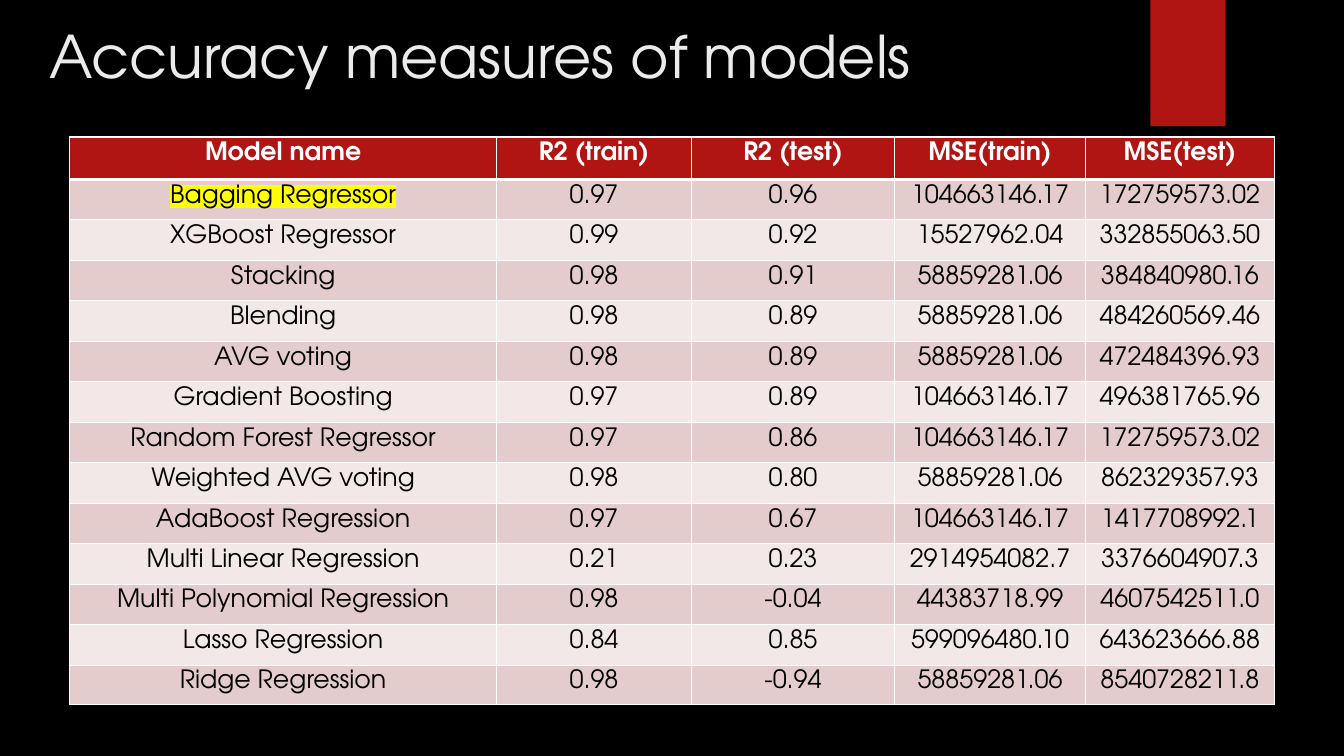
import pptx
import pptx.util
import pptx.dml.color
import pptx.enum.shapes
import pptx.enum.text
import pptx.oxml
import pptx.oxml.ns

Cm, Pt = pptx.util.Cm, pptx.util.Pt
FONT = "TeX Gyre Adventor"
RED, WHITE, BLACK = "B01513", "FFFFFF", "000000"
BANDS = ["F2E8E7", "E4CCCC"]


def paint(color, code):
    """Set a solid fill or a font colour from a hex string."""
    if hasattr(color, "solid"):
        color.solid()
        color = color.fore_color
    else:
        color = color.color
    color.rgb = pptx.dml.color.RGBColor.from_string(code)


def node(tag, inner, attrs=""):
    """Make a drawing element holding one solid colour."""
    space = pptx.oxml.ns.nsdecls("a")
    return pptx.oxml.parse_xml(f"<a:{tag} {space} {attrs}>{inner}</a:{tag}>")


deck = pptx.Presentation()
deck.slide_width, deck.slide_height = Cm(33.87), Cm(19.05)
slide = deck.slides.add_slide(deck.slide_layouts[6])
paint(slide.background.fill, BLACK)

# Red tab at the top
tab = slide.shapes.add_shape(pptx.enum.shapes.MSO_SHAPE.RECTANGLE,
                             Cm(28.99), 0, Cm(1.9), Cm(3.18))
tab.shadow.inherit = False
paint(tab.fill, RED)
tab.line.fill.background()

# Title
title = slide.shapes.add_textbox(Cm(0.99), Cm(0.38), Cm(22.66), Cm(2.21))
frame = title.text_frame
frame.word_wrap = True
frame.vertical_anchor = pptx.enum.text.MSO_ANCHOR.TOP
frame.text = "Accuracy measures of models"
font = frame.paragraphs[0].runs[0].font
font.name, font.size = FONT, Pt(42)
paint(font, "EBEBEB")

# Table of scores
scores = [
    ("Model name", "R2 (train)", "R2 (test)", "MSE(train)", "MSE(test)"),
    ("Bagging Regressor", "0.97", "0.96", "104663146.17", "172759573.02"),
    ("XGBoost Regressor", "0.99", "0.92", "15527962.04", "332855063.50"),
    ("Stacking", "0.98", "0.91", "58859281.06", "384840980.16"),
    ("Blending", "0.98", "0.89", "58859281.06", "484260569.46"),
    ("AVG voting", "0.98", "0.89", "58859281.06", "472484396.93"),
    ("Gradient Boosting", "0.97", "0.89", "104663146.17", "496381765.96"),
    ("Random Forest Regressor", "0.97", "0.86", "104663146.17", "172759573.02"),
    ("Weighted AVG voting", "0.98", "0.80", "58859281.06", "862329357.93"),
    ("AdaBoost Regression", "0.97", "0.67", "104663146.17", "1417708992.1"),
    ("Multi Linear Regression", "0.21", "0.23", "2914954082.7", "3376604907.3"),
    ("Multi Polynomial Regression", "0.98", "-0.04", "44383718.99", "4607542511.0"),
    ("Lasso Regression", "0.84", "0.85", "599096480.10", "643623666.88"),
    ("Ridge Regression", "0.98", "-0.94", "58859281.06", "8540728211.8"),
]
widths = [10.77, 4.9, 5.13, 4.8, 4.77]
heights = [1.07] + [1.02] * 12 + [0.99]
table = slide.shapes.add_table(len(scores), len(widths), Cm(1.75), Cm(3.45),
                               Cm(sum(widths)), Cm(sum(heights))).table
for column, width in zip(table.columns, widths):
    column.width = Cm(width)

for i, row in enumerate(scores):
    table.rows[i].height = Cm(heights[i])
    for j, text in enumerate(row):
        cell = table.cell(i, j)
        cell.margin_top, cell.margin_bottom = Cm(0.13), 0
        cell.margin_left = cell.margin_right = Cm(0.19)
        paint(cell.fill, BANDS[i % 2] if i else RED)
        para = cell.text_frame.paragraphs[0]
        para.text = text
        para.alignment = pptx.enum.text.PP_ALIGN.CENTER
        font = para.runs[0].font
        font.name, font.size, font.bold = FONT, Pt(18), i == 0
        paint(font, BLACK if i else WHITE)

        # White borders, thick below the header
        for k, side in enumerate("LRTB"):
            thick = (i, side) in [(0, "B"), (1, "T")]
            fill = f'<a:solidFill><a:srgbClr val="{WHITE}"/></a:solidFill>'
            edge = node("ln" + side, fill, f'w="{Pt(3 if thick else 1)}"')
            cell._tc.get_or_add_tcPr().insert(k, edge)

# Yellow mark on the best model
best = table.cell(1, 0).text_frame.paragraphs[0].runs[0]
ink = best._r.get_or_add_rPr().find(pptx.oxml.ns.qn("a:solidFill"))
ink.addnext(node("highlight", '<a:srgbClr val="FFFF00"/>'))

deck.save("out.pptx")
